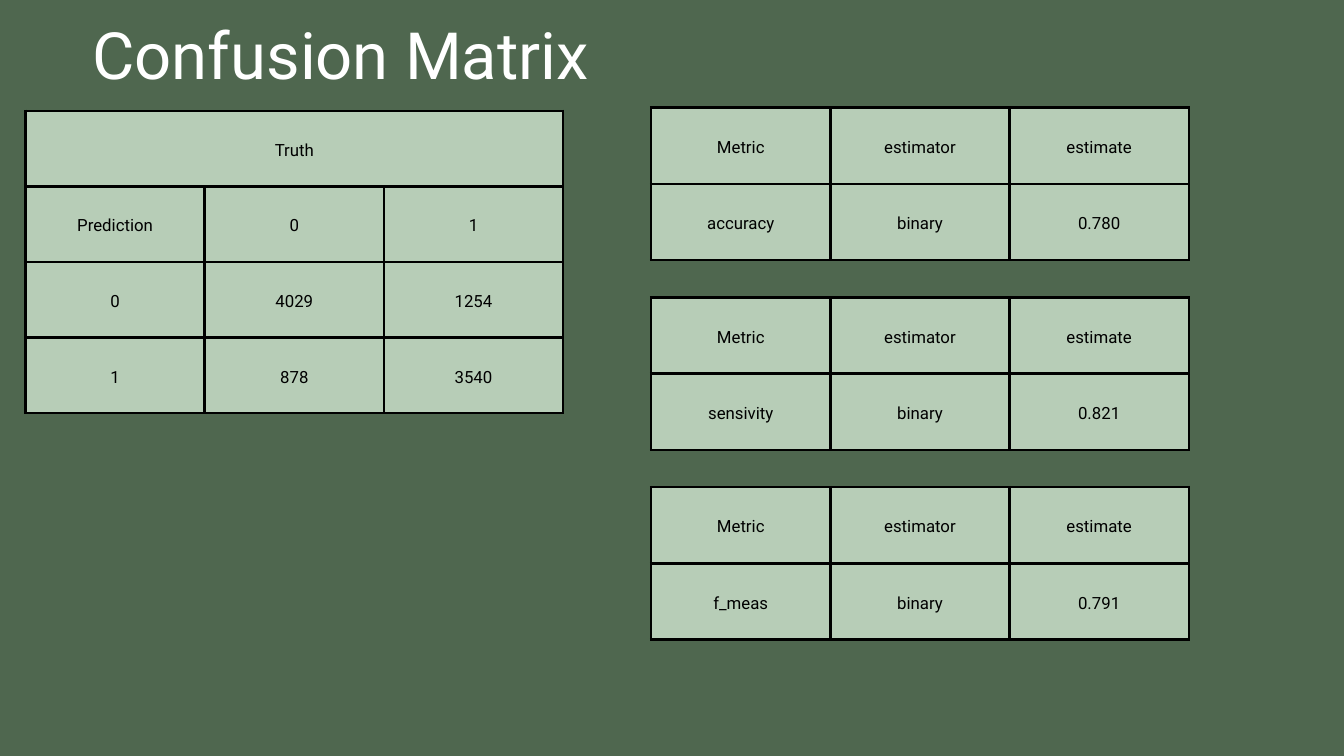
from lxml import etree
from pptx import Presentation
from pptx.dml.color import RGBColor
from pptx.enum.text import MSO_ANCHOR, PP_ALIGN
from pptx.oxml.ns import qn
from pptx.util import Pt

CENTER = PP_ALIGN.CENTER
MIDDLE = MSO_ANCHOR.MIDDLE
PX = 9144  # 100 px to the inch
FONT = "Roboto"
BACKGROUND, CELL, BLACK, WHITE = "4F674F", "B7CDB7", "000000", "FFFFFF"

# Content
TITLE = "Confusion Matrix"
CONFUSION = [
    ("Truth", "", ""),
    ("Prediction", "0", "1"),
    ("0", "4029", "1254"),
    ("1", "878", "3540"),
]
METRIC_HEADER = ("Metric", "estimator", "estimate")
METRICS = [
    ("accuracy", "binary", "0.780"),
    ("sensivity", "binary", "0.821"),
    ("f_meas", "binary", "0.791"),
]

# Layout in px
TABLE_W = 800
CELL_MARGIN = 21
METRIC_X, METRIC_Y, METRIC_H, METRIC_STEP = 969, 160, 227, 282.5


def px(n):
    return round(n * PX)


def rgb(color):
    return RGBColor.from_string(color)


def write(tf, text, size, color, spacing):
    tf.text = text
    p = tf.paragraphs[0]
    p.alignment = CENTER
    p.line_spacing = Pt(spacing)
    for r in p.runs:
        r.font.name = FONT
        r.font.size = Pt(size)
        r.font.color.rgb = rgb(color)


def add_borders(cell):
    tc_pr = cell._tc.get_or_add_tcPr()
    for side in ("lnL", "lnR", "lnT", "lnB"):
        ln = etree.SubElement(tc_pr, qn(f"a:{side}"), w=str(Pt(3)))
        fill = etree.SubElement(ln, qn("a:solidFill"))
        etree.SubElement(fill, qn("a:srgbClr"), val=BLACK)


def add_grid(s, rows, x, y, h):
    columns = len(rows[0])
    table = s.shapes.add_table(len(rows), columns, px(x), px(y), px(TABLE_W), px(h)).table
    table.first_row = table.horz_banding = False
    for column in table.columns:
        column.width = px(TABLE_W / columns)
    for i, row in enumerate(rows):
        table.rows[i].height = px(h / len(rows))
        for j, text in enumerate(row):
            cell = table.cell(i, j)
            cell.margin_left = cell.margin_right = px(CELL_MARGIN)
            cell.margin_top = cell.margin_bottom = px(CELL_MARGIN)
            cell.vertical_anchor = MIDDLE
            add_borders(cell)
            cell.fill.solid()
            cell.fill.fore_color.rgb = rgb(CELL)
            write(cell.text_frame, text, 18, BLACK, 25.2)
    return table


def main():
    prs = Presentation()
    prs.slide_width, prs.slide_height = px(2000), px(1125)
    s = prs.slides.add_slide(prs.slide_layouts[6])
    s.background.fill.solid()
    s.background.fill.fore_color.rgb = rgb(BACKGROUND)

    # Title
    tf = s.shapes.add_textbox(px(46), px(2), px(923), px(134)).text_frame
    tf.word_wrap = True
    tf.margin_left = tf.margin_right = tf.margin_top = tf.margin_bottom = 0
    write(tf, TITLE, 69.8, WHITE, 97.7)

    # Confusion matrix, with one heading across the top row
    matrix = add_grid(s, CONFUSION, 38, 165, 450)
    matrix.cell(0, 0).merge(matrix.cell(0, 2))

    # One small table per metric
    for i, metric in enumerate(METRICS):
        add_grid(s, [METRIC_HEADER, metric], METRIC_X, METRIC_Y + i * METRIC_STEP, METRIC_H)

    prs.save("out.pptx")


if __name__ == "__main__":
    main()
